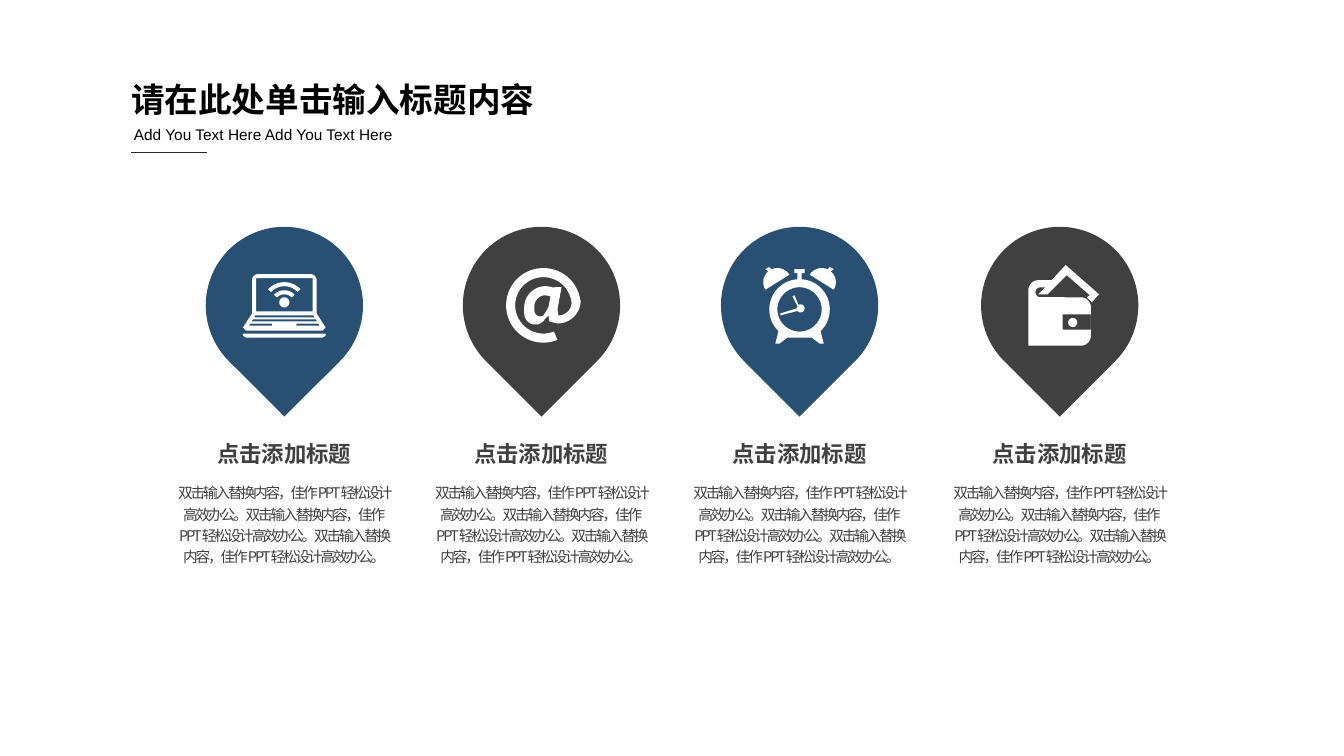
from math import cos, sin, radians
from lxml import etree
from pptx import Presentation
from pptx import util as u
from pptx.dml.color import RGBColor
from pptx.enum import shapes, text
from pptx.oxml.ns import qn


def rgb(code):
    return RGBColor.from_string(code)


def arc(x, y, r, start=0, end=360):
    steps = max(4, abs(end - start) // 6)
    turns = [radians(start + (end - start) * i / steps) for i in range(steps + 1)]
    return [(x + r * cos(t), y + r * sin(t)) for t in turns]


SANS = "Noto Sans CJK SC"
DARK, BLUE, WHITE, BLACK = "404040", "294F73", "FFFFFF", "000000"
HEAD = "点击添加标题"
BODY = "双击输入替换内容，佳作PPT轻松设计高效办公。" * 3
SIZE, MID = 1.56, 3.03

lid = [*arc(0.26, -0.25, 0.06, -90, 0), (0.32, 0.08), (0.41, 0.22), (0.38, 0.25)]
screen = [(0.28, -0.27), (0.28, 0.06)]
foot = [(0.41, 0.28), (0.41, 0.3), (0.38, 0.32)]
pad = [(0.12, 0.18), (0.12, 0.2)]
keys = [[(0.29 + 0.025 * i, 0.1 + 0.04 * i), (0.3 + 0.025 * i, 0.12 + 0.04 * i)]
        for i in range(3)]
laptop = [half + [(-a, b) for a, b in reversed(half)]
          for half in (lid, screen, foot, pad, *keys)]
laptop.append(arc(0, -0.03, 0.05))
for r in (0.14, 0.22):
    laptop.append(arc(0, -0.01, r, 223, 317) + arc(0, -0.01, r - 0.04, 317, 223))

swirl = arc(0.02, 0, 0.37, 68, 352)
tail = arc(0.16, -0.05, 0.23, 0, 90)
bowl = arc(-0.06, 0.08, 0.11, 30, 180) + arc(0.04, 0.02, 0.21, 180, 290)
stem = [(0.14, -0.18), (0.2, -0.18), (0.16, 0.04), (0.17, 0.1)]
inner = arc(0.17, -0.03, 0.13, 80, 0) + arc(0.02, 0, 0.28, -8, -292)
hole = arc(-0.01, 0.05, 0.06, 60, 180) + arc(0.04, 0.01, 0.11, 180, 270)
at = [swirl + tail + [(0.08, 0.16), (0.07, 0.1)] + bowl + stem + inner,
      hole + [(0.09, -0.09), (0.07, 0.02)]]

knob = [(0.05, -0.36), (0.05, -0.32), (0.02, -0.32)]
side = knob + arc(0, 0.04, 0.3, -86, 46) + [(0.24, 0.38), (0.2, 0.38), (0.12, 0.32)]
bell = (arc(0.22, -0.23, 0.14, 212, 295) + [(0.3, -0.38), (0.34, -0.36)]
        + arc(0.22, -0.23, 0.14, 310, 392))
hands = arc(0.01, 0.03, 0.04, -120, 140) + [
    (-0.19, 0.1), (-0.19, 0.08), (-0.03, 0.03), (-0.02, 0.01), (-0.07, -0.09), (-0.05, -0.1)]
clock = [side + [(-a, b) for a, b in reversed(side)], arc(0, 0.04, 0.22), hands,
         bell, [(-a, b) for a, b in bell]]

pouch = (arc(0.21, 0.02, 0.1, -90, 0) + arc(0.21, 0.3, 0.1, 0, 90)
         + [(-0.31, 0.4)] + arc(-0.21, -0.15, 0.1, 180, 270))
card = [(-0.08, -0.25), (0.06, -0.4), (0.39, -0.11), (0.32, -0.03), (0.27, -0.08),
        (0.3, -0.1), (0.07, -0.3), (-0.12, -0.11), (-0.21, -0.11), (-0.14, -0.18)]
clasp = [(0.03, 0.09), (0.31, 0.09), (0.31, 0.24), (0.03, 0.24)]
purse = [pouch + card + arc(-0.19, -0.13, 0.05, 250, 100), clasp, arc(0.13, 0.17, 0.045)]

deck = Presentation()
deck.slide_width, deck.slide_height = u.Inches(13.33), u.Inches(7.5)
slide = deck.slides.add_slide(deck.slide_layouts[6])

tight = {"margin_left": u.Inches(0.07), "margin_right": u.Inches(0.07),
         "margin_top": u.Inches(0.04), "margin_bottom": u.Inches(0.04)}
center = {"alignment": text.PP_ALIGN.CENTER}
notes = [
    ((1.23, 0.74, 4.6, 0.48), "请在此处单击输入标题内容", BLACK, 0, {**tight, "word_wrap": True},
     {}, {"size": u.Pt(24), "name": SANS, "bold": True}),
    ((1.23, 1.14, 3.06, 0.34), "Add You Text Here Add You Text Here", BLACK, 0,
     {"word_wrap": True}, {"line_spacing": 1.3}, {"size": u.Pt(11), "name": "Arial"}),
]

pins = [(2.82, BLUE, laptop), (5.37, DARK, at), (7.93, BLUE, clock), (10.51, DARK, purse)]
for x, hue, icon in pins:
    group = slide.shapes.add_group_shape().shapes
    pin = group.add_shape(shapes.MSO_SHAPE.TEAR, u.Inches(x - SIZE / 2),
                          u.Inches(MID - SIZE / 2), u.Inches(SIZE), u.Inches(SIZE))
    pin.rotation = 135
    pen = None
    for ring in icon:
        dots = [(u.Inches(x + a), u.Inches(MID + b)) for a, b in ring]
        if pen is None:
            pen = group.build_freeform(*dots[0], scale=1.0)
        else:
            pen.move_to(*dots[0])
        pen.add_line_segments(dots[1:], close=True)
    for part, fill in ((pin, hue), (pen.convert_to_shape(), WHITE)):
        part.shadow.inherit = False
        part.fill.solid()
        part.fill.fore_color.rgb = rgb(fill)
        part.line.fill.background()
    notes += [
        ((x - 0.75, 4.33, 1.5, 0.35), HEAD, DARK, 0, {**tight, "word_wrap": False}, center,
         {"size": u.Pt(16), "name": SANS, "bold": True}),
        ((x - 1.15, 4.73, 2.3, 0.92), BODY, DARK, -150, {**tight, "word_wrap": True},
         {**center, "line_spacing": 1.2}, {"size": u.Pt(10.5), "name": SANS}),
    ]

grow = {"auto_size": text.MSO_AUTO_SIZE.SHAPE_TO_FIT_TEXT}
for place, words, hue, gap, frame, para, font in notes:
    box = slide.shapes.add_textbox(*map(u.Inches, place)).text_frame
    line = box.paragraphs[0]
    run = line.add_run()
    run.text = words
    for item, look in ((box, {**frame, **grow}), (line, para), (run.font, font)):
        for key, value in look.items():
            setattr(item, key, value)
    run.font.color.rgb = rgb(hue)
    props = run._r.get_or_add_rPr()
    etree.SubElement(props, qn("a:ea")).set("typeface", font["name"])
    if gap:
        props.set("spc", str(gap))

rule = slide.shapes.add_connector(shapes.MSO_CONNECTOR.STRAIGHT, u.Inches(1.3),
                                  u.Inches(1.51), u.Inches(2.05), u.Inches(1.51))
rule.line.color.rgb = rgb("262626")
rule.line.width = u.Pt(0.75)
etree.SubElement(rule._element.spPr, qn("a:effectLst"))

deck.save("out.pptx")
